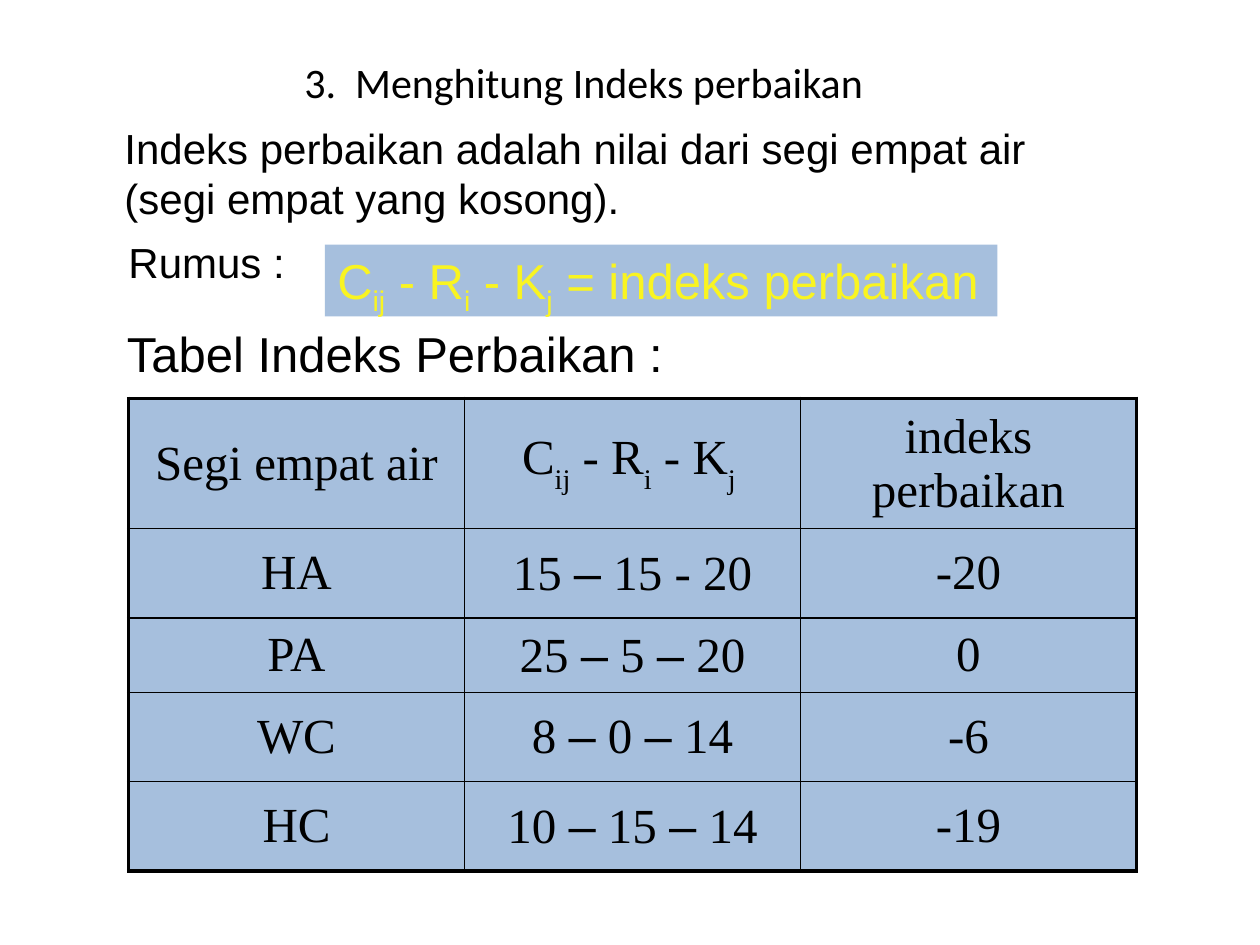
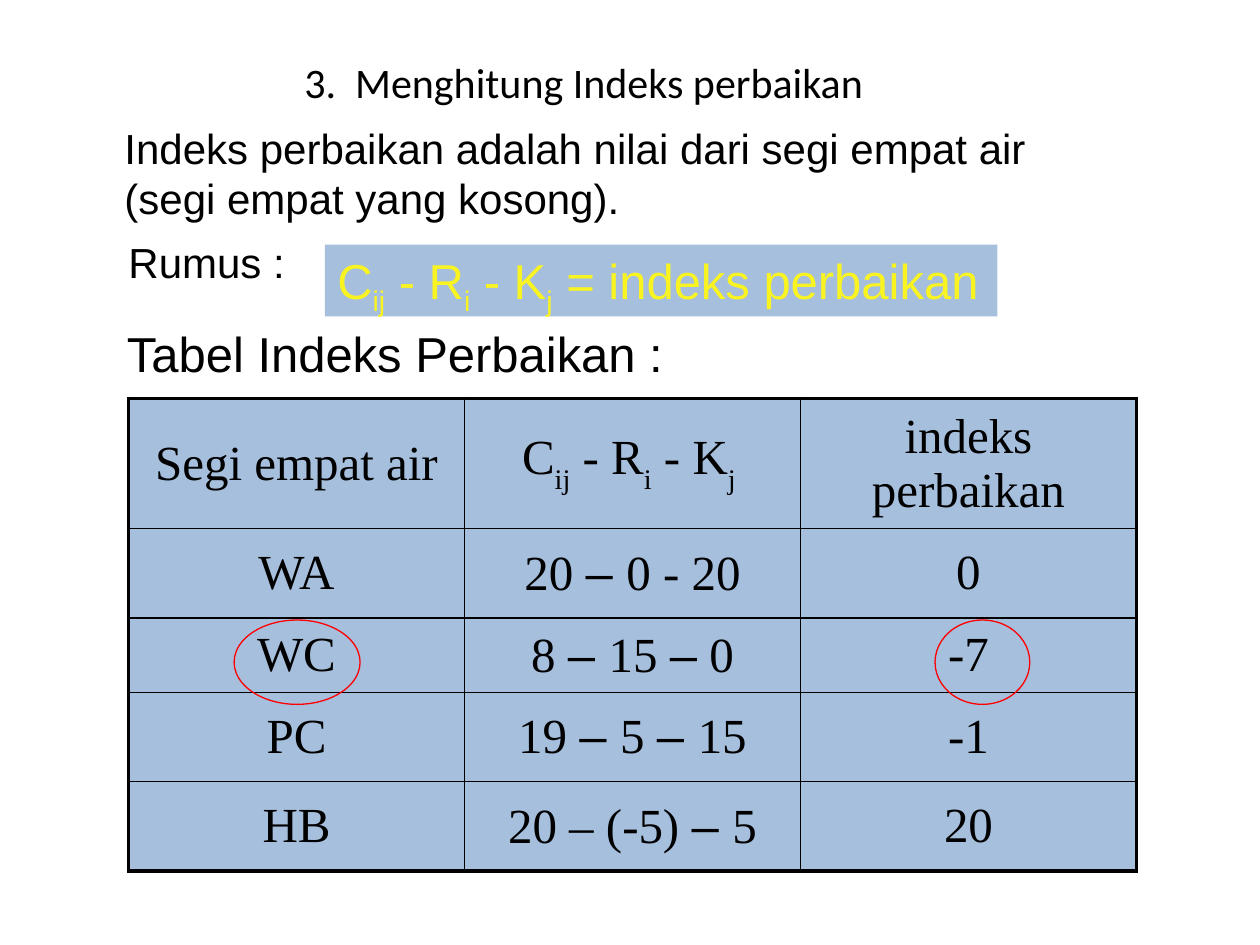
from lxml import etree
from pptx import Presentation
from pptx.dml import color
from pptx.enum import shapes, text
from pptx.oxml import ns
from pptx.util import Cm, Pt

HEADING = "3.  Menghitung Indeks perbaikan "
DEFINITION = "Indeks perbaikan adalah nilai dari segi empat air (segi empat yang kosong)."
FORMULA = "C|ij| - R|i| - K|j| = indeks perbaikan"
HEADER = ("Segi empat air", "C|ij| - R|i| - K|j ", "indeks perbaikan")
SLIDES = [
    {
        "rows": [
            ("HA", "15 |–| 15 - 20", "-20"),
            ("PA", "25 |–| 5 |–| 20", "0"),
            ("WC", "8 |–| 0 |–| 14", "-6"),
            ("HC", "10 |–| 15 |–| 14", "-19"),
        ],
        "circles": [],
    },
    {
        "rows": [
            ("WA", "20 |– |0 - 20", "0"),
            ("WC", "8 |– |15 |–| 0", "-7"),
            ("PC", "19 |– |5 |– |15", "-1"),
            ("HB", "20 – (-5) |– |5", "20"),
        ],
        "circles": [(4.72, 12.5, 2.54, 1.7), (18.85, 12.5, 1.91, 1.7)],
    },
]

BLACK, BLUE, YELLOW, RED = "000000", "4F81BD", "F9F421", "FF0000"
SANS, SERIF, TITLE_FONT = "Arial", "Times New Roman", "Calibri"
TABLE_LEFT, TABLE_TOP, TABLE_WIDTH = 2.59, 8.03, 20.32
ROW_HEIGHTS = (2.6, 1.8, 1.5, 1.8, 1.8)
THIN, THICK = 1, 2.25


def rgb(value):
    return color.RGBColor.from_string(value)


def write(paragraph, marked, size, face, ink=BLACK, marked_face=None, baseline=None):
    for index, part in enumerate(marked.split("|")):
        run = paragraph.add_run()
        run.text = part
        is_marked = index % 2 == 1
        run.font.name = marked_face if is_marked and marked_face else face
        run.font.size = Pt(size)
        run.font.color.rgb = rgb(ink)
        if is_marked and baseline:
            run.font._element.set("baseline", str(baseline * 1000))


def tint(fill):
    fill.solid()
    fill.fore_color.rgb = rgb(BLUE)
    srgb = fill._xPr.find(ns.qn("a:solidFill"))[0]
    etree.SubElement(srgb, ns.qn("a:alpha"), val="50000")


def border(cell, widths):
    properties = cell._tc.get_or_add_tcPr()
    for side, width in widths.items():
        line = etree.SubElement(properties, ns.qn(f"a:ln{side}"), w=str(Pt(width)))
        solid = etree.SubElement(line, ns.qn("a:solidFill"))
        etree.SubElement(solid, ns.qn("a:srgbClr"), val=BLACK)


def add_heading(slide):
    title = slide.shapes.title
    title.left, title.top, title.width, title.height = map(Cm, (1.07, 1.02, 21.59, 1.27))
    frame = title.text_frame
    frame.auto_size = text.MSO_AUTO_SIZE.NONE
    frame.vertical_anchor = text.MSO_ANCHOR.MIDDLE
    frame.paragraphs[0].alignment = text.PP_ALIGN.CENTER
    write(frame.paragraphs[0], HEADING, 24, TITLE_FONT)


def add_label(slide, place, words, size, wrap=False):
    frame = slide.shapes.add_textbox(*map(Cm, place)).text_frame
    frame.word_wrap = wrap
    write(frame.paragraphs[0], words, size, SANS)


def add_formula(slide):
    band = slide.shapes.add_shape(
        shapes.MSO_SHAPE.RECTANGLE, *map(Cm, (6.55, 4.93, 13.56, 1.45)))
    band.shadow.inherit = False
    band.line.fill.background()
    tint(band.fill)
    frame = band.text_frame
    frame.word_wrap = False
    frame.vertical_anchor = text.MSO_ANCHOR.TOP
    frame.paragraphs[0].alignment = text.PP_ALIGN.LEFT
    write(frame.paragraphs[0], FORMULA, 28, SANS, YELLOW, baseline=-25)


def add_index_table(slide, rows):
    last_row, last_column = len(rows) - 1, len(HEADER) - 1
    table = slide.shapes.add_table(
        len(rows), len(HEADER), Cm(TABLE_LEFT), Cm(TABLE_TOP),
        Cm(TABLE_WIDTH), Cm(sum(ROW_HEIGHTS))).table
    table.first_row = table.horz_banding = False
    for row, height in zip(table.rows, ROW_HEIGHTS):
        row.height = Cm(height)
    for r, values in enumerate(rows):
        for c, value in enumerate(values):
            cell = table.cell(r, c)
            border(cell, {
                "L": THICK if c == 0 else THIN,
                "R": THICK if c == last_column else THIN,
                "T": THICK if r == 0 else THIN,
                "B": THICK if r == last_row else THIN,
            })
            tint(cell.fill)
            cell.vertical_anchor = text.MSO_ANCHOR.MIDDLE
            paragraph = cell.text_frame.paragraphs[0]
            paragraph.alignment = text.PP_ALIGN.CENTER
            style = {"baseline": -30} if r == 0 else {"marked_face": SANS}
            write(paragraph, value, 28, SERIF, **style)


def add_circle(slide, place):
    circle = slide.shapes.add_shape(shapes.MSO_SHAPE.OVAL, *map(Cm, place))
    circle.shadow.inherit = False
    circle.fill.background()
    circle.line.color.rgb = rgb(RED)
    circle.line.width = Pt(0.75)


def main():
    deck = Presentation()
    deck.slide_width, deck.slide_height = Cm(25.4), Cm(19.05)
    for content in SLIDES:
        slide = deck.slides.add_slide(deck.slide_layouts[5])
        add_heading(slide)
        add_label(slide, (2.26, 2.34, 19.25, 2.29), DEFINITION, 24, wrap=True)
        add_index_table(slide, [HEADER, *content["rows"]])
        add_label(slide, (2.31, 6.4, 11.46, 1.45), "Tabel Indeks Perbaikan :", 28)
        add_label(slide, (2.34, 4.65, 3.66, 1.27), "Rumus :", 24)
        add_formula(slide)
        for place in content["circles"]:
            add_circle(slide, place)
    deck.save("out.pptx")


if __name__ == "__main__":
    main()
